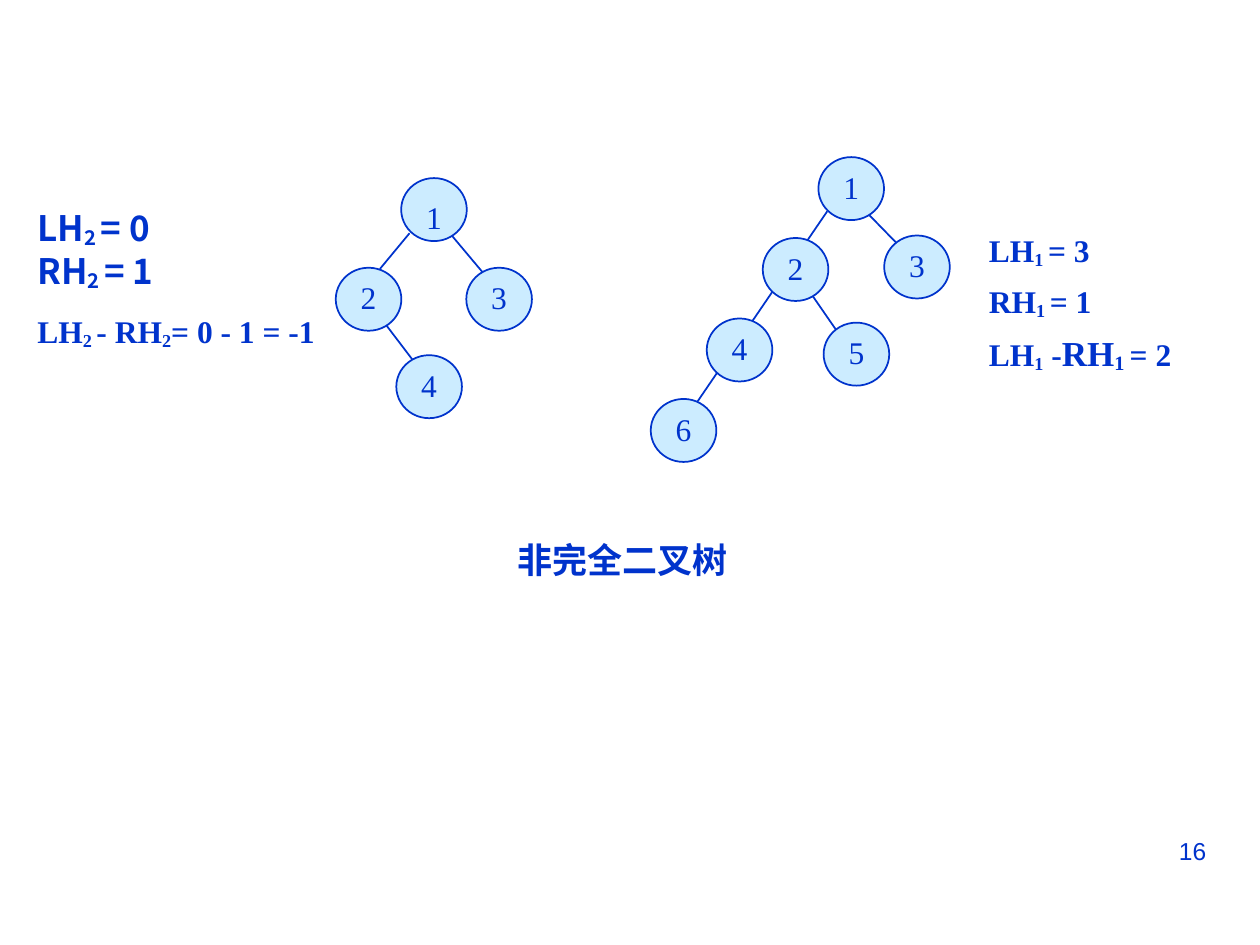
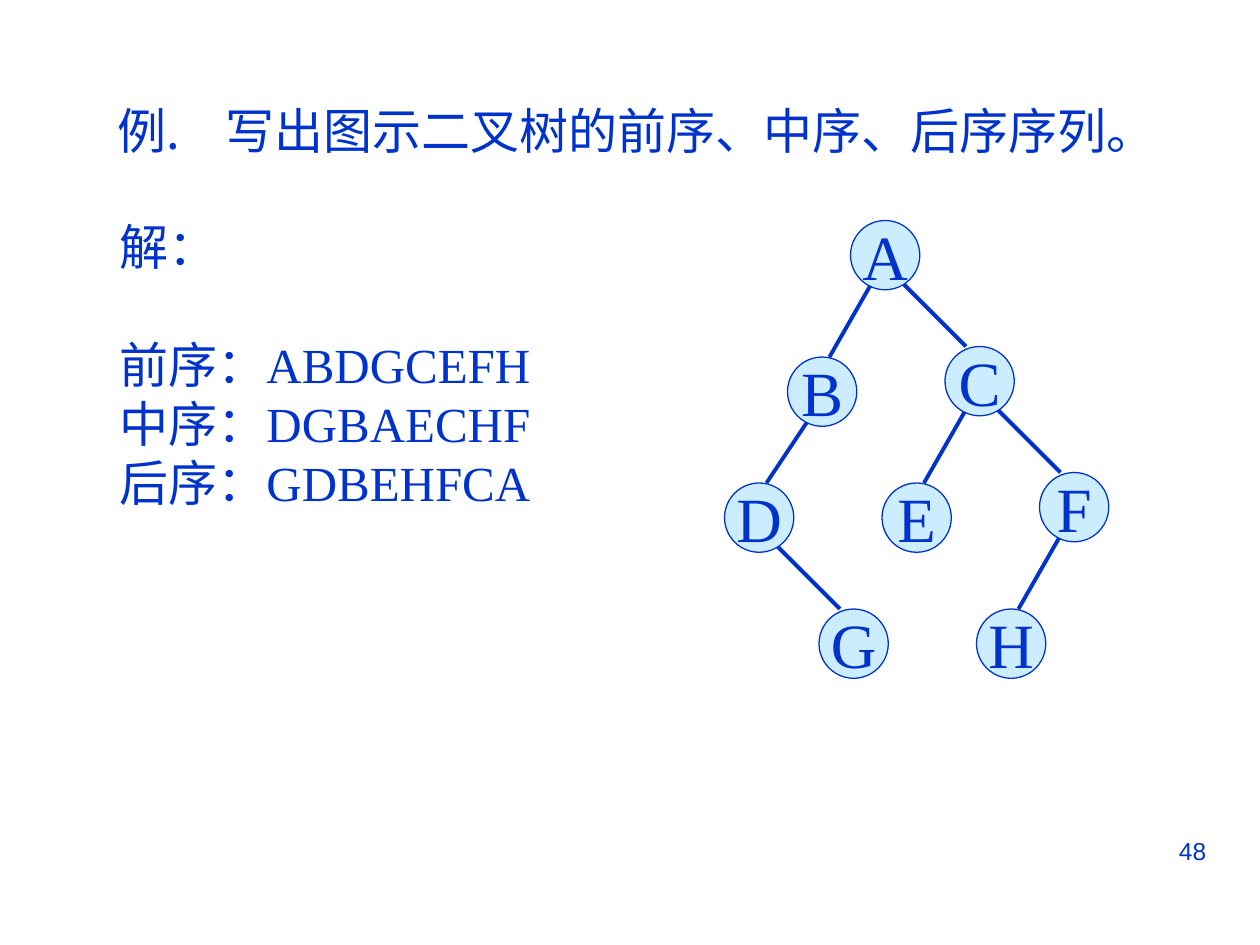
from dataclasses import dataclass

from lxml.etree import SubElement
from pptx import Presentation
from pptx.dml.color import RGBColor
from pptx.enum.shapes import MSO_CONNECTOR as Connector, MSO_SHAPE as Shape
from pptx.enum.text import MSO_ANCHOR as Anchor, MSO_AUTO_SIZE as AutoSize, PP_ALIGN as Align
from pptx.oxml.ns import qn
from pptx.util import Pt

COLORS = {"ink": "0033CC", "node": "CCECFF", "page": "FFFFFF"}
SERIF, SANS, PLAIN = "Times New Roman", "Noto Sans CJK SC", "Arial"


@dataclass
class TreeLook:
    """Node size, line widths, and edge offsets from parent and child centres."""
    width: float
    height: float
    size: float
    outline: float
    edge: float
    left: tuple
    right: tuple
    lift: float = 0


class Deck:
    """Hold the style and the current slide and draw each kind of element."""

    def __init__(self):
        self.prs = Presentation()
        self.prs.slide_width, self.prs.slide_height = Pt(720), Pt(540)
        self.slide = None

    def color(self, name):
        return RGBColor.from_string(COLORS[name])

    def new_slide(self, layout, number):
        self.slide = self.prs.slides.add_slide(self.prs.slide_layouts[layout])
        background = self.slide.background.fill
        background.solid()
        background.fore_color.rgb = self.color("page")
        self.text((516.4, 474, 180, 37), [number], 14, PLAIN, align=Align.RIGHT)

    def font(self, paragraph, size, name, bold=False):
        font = paragraph.font
        font.size, font.name, font.bold = Pt(size), name, bold
        font.color.rgb = self.color("ink")

    def fill_text(self, frame, lines, size, name, bold=False, align=Align.LEFT):
        """Write lines in which every second piece between bars is a subscript."""
        frame.auto_size = AutoSize.NONE
        frame.vertical_anchor = Anchor.TOP
        for i, line in enumerate(lines):
            paragraph = frame.paragraphs[0] if i == 0 else frame.add_paragraph()
            paragraph.alignment = align
            for j, piece in enumerate(line.split("|")):
                if piece:
                    run = paragraph.add_run()
                    run.text = piece
                    if j % 2:
                        run._r.get_or_add_rPr().set("baseline", "-12000")
            self.font(paragraph, size, name, bold)
        return frame.paragraphs

    def text(self, box, lines, size, name, bold=False, align=Align.LEFT, inset=7.2):
        frame = self.slide.shapes.add_textbox(*map(Pt, box)).text_frame
        frame.word_wrap = True
        frame.margin_left = frame.margin_right = Pt(inset)
        return self.fill_text(frame, lines, size, name, bold, align)

    def placeholder(self, index, box, lines, size, name, hanging=0):
        holder = self.slide.placeholders[index]
        holder.left, holder.top, holder.width, holder.height = map(Pt, box)
        frame = holder.text_frame
        frame.word_wrap = True
        for i in range(len(lines)):
            paragraph = frame.paragraphs[0] if i == 0 else frame.add_paragraph()
            properties = paragraph._p.get_or_add_pPr()
            properties.set("marL", str(Pt(hanging)))
            properties.set("indent", str(-Pt(hanging)))
            SubElement(properties, qn("a:buNone"))
            paragraph.space_before = Pt(0)
        for paragraph, line in zip(frame.paragraphs, lines):
            paragraph.add_run().text = line
            paragraph.alignment = Align.LEFT
            self.font(paragraph, size, name)
        frame.auto_size = AutoSize.NONE
        frame.vertical_anchor = Anchor.TOP
        return frame.paragraphs

    def edge(self, parent, child, look):
        start, end = look.left if child[0] < parent[0] else look.right
        ends = [parent[0] + start[0], parent[1] + start[1], child[0] + end[0], child[1] + end[1]]
        line = self.slide.shapes.add_connector(Connector.STRAIGHT, *map(Pt, ends))
        line.line.color.rgb = self.color("ink")
        line.line.width = Pt(look.edge)
        SubElement(line._element.spPr, qn("a:effectLst"))

    def node(self, label, x, y, look):
        box = (x - look.width / 2, y - look.height / 2, look.width, look.height)
        circle = self.slide.shapes.add_shape(Shape.OVAL, *map(Pt, box))
        circle.shadow.inherit = False
        circle.fill.solid()
        circle.fill.fore_color.rgb = self.color("node")
        circle.line.color.rgb = self.color("ink")
        circle.line.width = Pt(look.outline)
        frame = circle.text_frame
        self.fill_text(frame, [label], look.size, SERIF, align=Align.CENTER)
        frame.word_wrap = False
        frame.vertical_anchor = Anchor.MIDDLE
        frame.margin_bottom = Pt(3.6 + look.lift)
        return circle

    def tree(self, centres, edges, look):
        for parent, child in edges:
            self.edge(centres[parent], centres[child], look)
        return {label: self.node(label, x, y, look) for label, (x, y) in centres.items()}


def balance_slide(deck):
    deck.new_slide(6, "16")
    small = (37.5, 36, 18, 1, 1)
    right_heavy = TreeLook(*small, left=((-14, 13.5), (6.5, -17.3)),
                           right=((9.5, 14), (-9.5, -15.5)), lift=2)
    left_heavy = TreeLook(*small, left=((-13.7, 13), (2.1, -7.9)),
                          right=((8.3, 13), (-11, -13)), lift=2)

    deck.tree(
        {"1": (486.4, 107.8), "2": (454.6, 154), "3": (524, 152.6),
         "4": (422.6, 200), "5": (489.4, 202.4), "6": (390.6, 246)},
        ["13", "25", "16"], left_heavy)
    nodes = deck.tree(
        {"1": (248, 119.8), "2": (210.6, 171), "3": (285.2, 171), "4": (245.2, 221)},
        ["12", "13", "24"], right_heavy)
    nodes["1"].text_frame.margin_top = Pt(13.6)

    heights = deck.text((558, 132.3, 140, 85),
                        ["LH|1 |= 3", "RH|1 |= 1", "LH|1| -||RH|1 |= 2"], 18, SERIF, True)
    for paragraph in heights:
        paragraph.line_spacing = 0.8
    for paragraph in heights[1:]:
        paragraph.space_before = Pt(11.2)
    for run in heights[2].runs[3:5]:
        run.font.size = Pt(20)

    deck.text((175, 304.2, 361.4, 31.7), ["非完全二叉树"], 20, SERIF, True, Align.CENTER)

    difference = deck.text((19.8, 114.2, 178.6, 90),
                           ["LH|2 |= 0", "RH|2 |= 1", "LH|2 |- RH|2|= 0 - 1 = -1"],
                           20, SANS, True, inset=1.5)[2]
    deck.font(difference, 18, SERIF, True)
    difference.space_before = Pt(11.2)


def traversal_slide(deck):
    deck.new_slide(1, "48")
    deck.placeholder(0, (59.8, 54, 630, 75),
                     ["例.\t写出图示二叉树的前序、中序、后序序列。"], 28, SANS, hanging=62)
    orders = deck.placeholder(1, (61.2, 120.2, 300, 175.7),
                              ["解：", "前序：ABDGCEFH", "中序：DGBAECHF", "后序：GDBEHFCA"], 28, SERIF)
    orders[1].space_before = Pt(34)

    look = TreeLook(39.6, 39.6, 36, 0.75, 2.25,
                    left=((-7.8, 16.2), (4.2, -19.8)), right=((10.2, 16.2), (-7.8, -19.8)))
    deck.tree(
        {"A": (505.8, 145.8), "B": (469.8, 223.8), "C": (559.8, 217.8), "D": (433.8, 295.8),
         "E": (523.8, 295.8), "F": (613.8, 289.8), "G": (487.8, 367.8), "H": (577.8, 367.8)},
        ["AB", "AC", "BD", "CE", "CF", "DG", "FH"], look)


def main():
    deck = Deck()
    balance_slide(deck)
    traversal_slide(deck)
    deck.prs.save("out.pptx")


if __name__ == "__main__":
    main()
